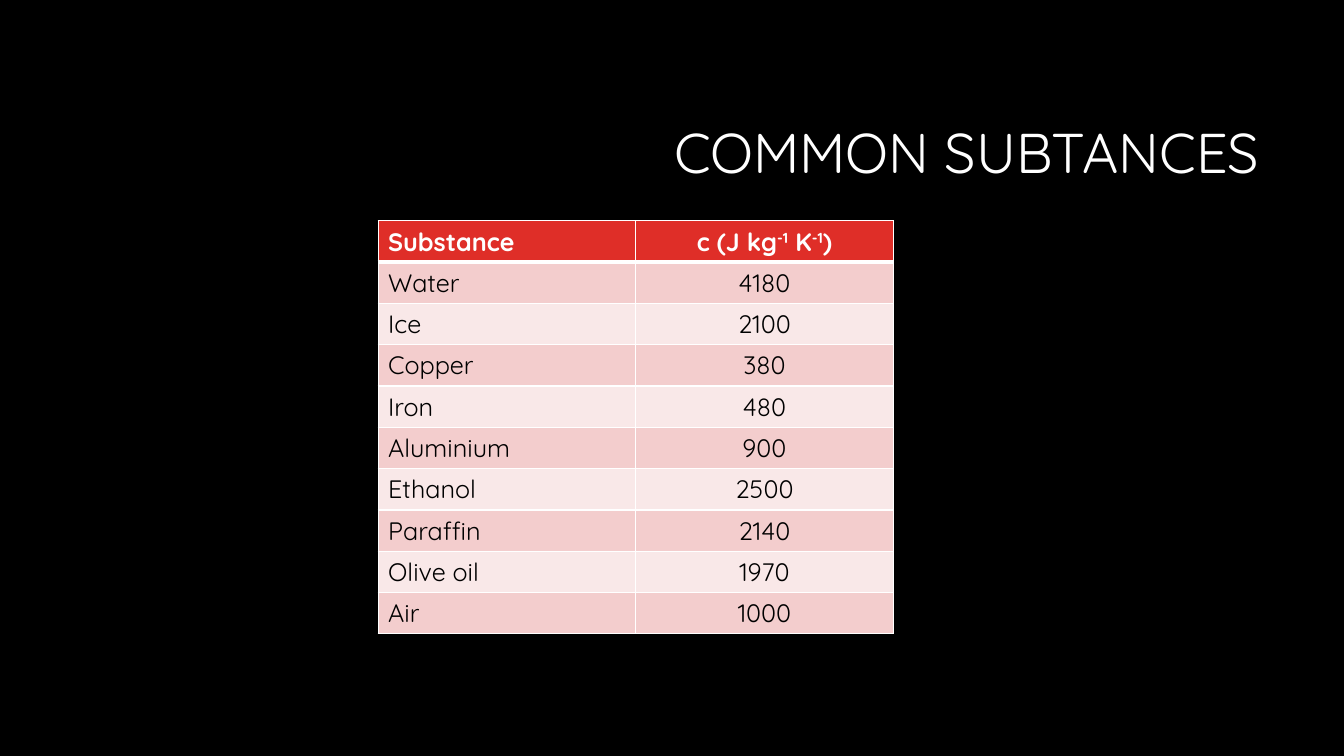
from pptx import Presentation
from pptx.dml.color import RGBColor
from pptx.enum.text import MSO_ANCHOR, PP_ALIGN
from pptx.oxml.ns import qn
from pptx.util import Inches, Pt
from lxml import etree

LEFT, CENTER, RIGHT = PP_ALIGN.LEFT, PP_ALIGN.CENTER, PP_ALIGN.RIGHT
MIDDLE = MSO_ANCHOR.MIDDLE

BLACK = RGBColor(0x00, 0x00, 0x00)
WHITE = RGBColor(0xFF, 0xFF, 0xFF)
RED = RGBColor(0xDF, 0x2E, 0x28)
PINK = RGBColor(0xF3, 0xCD, 0xCD)
PALE_PINK = RGBColor(0xF9, 0xE8, 0xE8)

SUPERSCRIPT = "30000"
ROW_HEIGHT = 0.41
HEADER = [["Substance"], ["c (J kg", "^-1", " K", "^-1", ")"]]
HEAT_CAPACITIES = [
    ("Water", 4180),
    ("Ice", 2100),
    ("Copper", 380),
    ("Iron", 480),
    ("Aluminium", 900),
    ("Ethanol", 2500),
    ("Paraffin", 2140),
    ("Olive oil", 1970),
    ("Air", 1000),
]


class SlideBuilder:
    font = "Quicksand"

    def __init__(self, prs, background):
        self.s = prs.slides.add_slide(prs.slide_layouts[6])
        fill = self.s.background.fill
        fill.solid()
        fill.fore_color.rgb = background

    def add_runs(self, p, texts, size, color, align, bold=False):
        """Add one run per text; a leading ^ makes the run superscript."""
        p.alignment = align
        for text in texts:
            r = p.add_run()
            r.text = text.removeprefix("^")
            r.font.name = self.font
            r.font.size = Pt(size)
            r.font.bold = bold
            r.font.color.rgb = color
            if text.startswith("^"):
                r.font._element.set("baseline", SUPERSCRIPT)

    def title(self, text, left, top, width, height):
        sp = self.s.shapes.add_textbox(
            Inches(left), Inches(top), Inches(width), Inches(height))
        tf = sp.text_frame
        tf.word_wrap = True
        tf.vertical_anchor = MIDDLE
        p = tf.paragraphs[0]
        p.line_spacing = 0.9
        self.add_runs(p, [text], 40, WHITE, RIGHT)

    def borders(self, cell, top, bottom):
        tcPr = cell._tc.get_or_add_tcPr()
        for side, width in (("L", 1), ("R", 1), ("T", top), ("B", bottom)):
            line = etree.SubElement(tcPr, qn(f"a:ln{side}"), w=str(Pt(width)))
            fill = etree.SubElement(line, qn("a:solidFill"))
            etree.SubElement(fill, qn("a:srgbClr"), val=str(WHITE))

    def table(self, rows, left, top, width):
        """Draw rows of run lists: a red header, then alternating pink bands."""
        frame = self.s.shapes.add_table(
            len(rows), len(rows[0]), Inches(left), Inches(top),
            Inches(width), Inches(ROW_HEIGHT * len(rows)))
        for i, row in enumerate(rows):
            header = i == 0
            band = RED if header else PINK if i % 2 else PALE_PINK
            for j, texts in enumerate(row):
                cell = frame.table.cell(i, j)
                self.borders(cell, 3 if i == 1 else 1, 3 if header else 1)
                cell.fill.solid()
                cell.fill.fore_color.rgb = band
                self.add_runs(cell.text_frame.paragraphs[0], texts, 18,
                              WHITE if header else BLACK,
                              CENTER if j else LEFT, header)


def main():
    prs = Presentation()
    prs.slide_width, prs.slide_height = Inches(13.33), Inches(7.5)
    slide = SlideBuilder(prs, BLACK)
    slide.title("COMMON SUBTANCES", 3.17, 0.84, 9.42, 1.41)
    body = [[[name], [str(value)]] for name, value in HEAT_CAPACITIES]
    slide.table([HEADER] + body, 3.75, 2.19, 5.11)
    prs.save("out.pptx")


if __name__ == "__main__":
    main()
